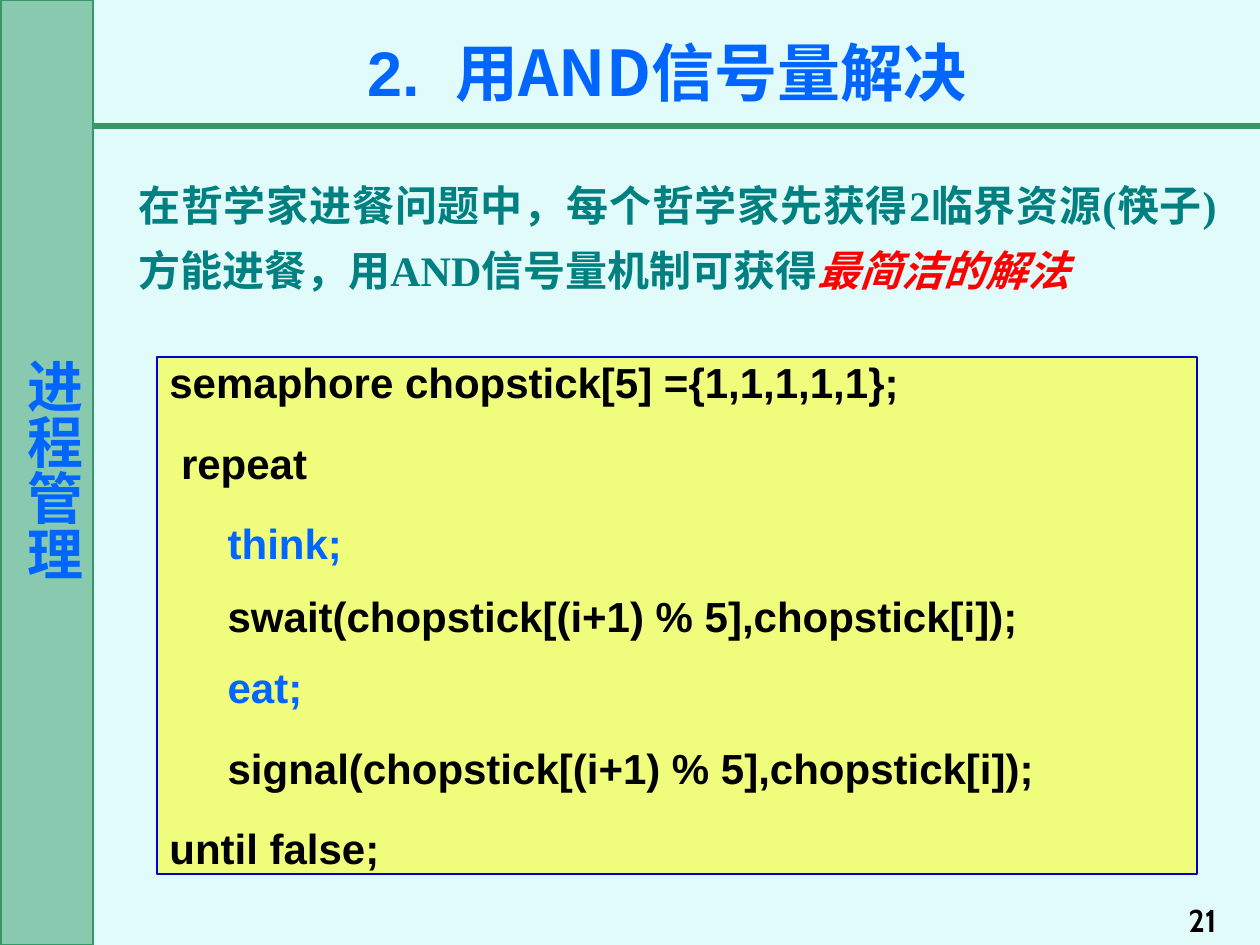
from lxml import etree
from pptx import Presentation
from pptx import util as u
from pptx.dml.color import RGBColor
from pptx.enum import shapes, text
from pptx.oxml import ns

PX = u.Inches(1) // 126
BACKGROUND = RGBColor(0xE1, 0xFA, 0xFA)
GREEN = RGBColor(0x33, 0x99, 0x66)
BLUE = RGBColor(0x00, 0x66, 0xFF)
NAVY = RGBColor(0x00, 0x00, 0xCC)
YELLOW = RGBColor(0xFF, 0xFF, 0x00)
TEAL = RGBColor(0x00, 0x80, 0x80)
RED = RGBColor(0xFF, 0x00, 0x00)
BLACK = RGBColor(0x00, 0x00, 0x00)
CJK_FONT = "Noto Sans CJK SC"


def add_run(paragraph, content, font_name, size, color):
    run = paragraph.add_run()
    run.text = content
    font = run.font
    font.name, font.size, font.bold = font_name, u.Pt(size), True
    font.color.rgb = color
    east_asian = etree.SubElement(run._r.get_or_add_rPr(), ns.qn("a:ea"))
    east_asian.set("typeface", CJK_FONT)
    return run


def add_panel(slide, left, top, width, height, fill, line, line_width):
    panel = slide.shapes.add_shape(
        shapes.MSO_SHAPE.RECTANGLE, left * PX, top * PX, width * PX, height * PX)
    panel.shadow.inherit = False
    panel.fill.solid()
    panel.fill.fore_color.rgb = fill
    color = panel._element.spPr.find(ns.qn("a:solidFill"))[0]
    etree.SubElement(color, ns.qn("a:alpha")).set("val", "50000")
    panel.line.color.rgb = line
    panel.line.width = u.Pt(line_width)
    panel.text_frame.vertical_anchor = text.MSO_ANCHOR.TOP
    return panel


presentation = Presentation()
presentation.slide_width = 1260 * PX
presentation.slide_height = 945 * PX
slide = presentation.slides.add_slide(presentation.slide_layouts[5])
slide.background.fill.solid()
slide.background.fill.fore_color.rgb = BACKGROUND

add_panel(slide, 1, 0, 92, 945, GREEN, GREEN, 0.75)

chapter = slide.shapes.add_shape(
    shapes.MSO_SHAPE.RECTANGLE, 0, 345 * PX, 93 * PX, 255 * PX)
chapter.shadow.inherit = False
chapter.fill.background()
chapter.line.fill.background()
frame = chapter.text_frame
frame.vertical_anchor = text.MSO_ANCHOR.TOP
frame.margin_left = frame.margin_right = 6 * PX
frame.margin_top = frame.margin_bottom = 13 * PX
frame._txBody.bodyPr.set("vert", "eaVert")
frame.paragraphs[0].alignment = text.PP_ALIGN.CENTER
add_run(frame.paragraphs[0], "进程管理", "Cabin", 32, BLUE)

title = slide.shapes.title
title.left, title.top, title.width, title.height = 210 * PX, 27 * PX, 914 * PX, 88 * PX
title.text_frame.vertical_anchor = text.MSO_ANCHOR.MIDDLE
paragraph = title.text_frame.paragraphs[0]
paragraph.alignment = text.PP_ALIGN.CENTER
add_run(paragraph, "2.  ", "Arial", 36, BLUE)
add_run(paragraph, "用AND信号量解决", CJK_FONT, 36, BLUE)

rule = slide.shapes.add_connector(
    shapes.MSO_CONNECTOR.STRAIGHT, 94 * PX, 126 * PX, 1260 * PX, 126 * PX)
rule.line.color.rgb = GREEN
rule.line.width = u.Pt(3)
etree.SubElement(rule._element.spPr, ns.qn("a:effectLst"))

code_box = add_panel(slide, 157, 357, 1040, 517, YELLOW, NAVY, 1.25)
frame = code_box.text_frame
frame.word_wrap = True
frame.margin_top = frame.margin_bottom = 0
code_lines = [
    ("semaphore chopstick[5] ={1,1,1,1,1};", BLACK, 0),
    (" repeat", BLACK, 17),
    ("     think;", BLUE, 17),
    ("     swait(chopstick[(i+1) % 5],chopstick[i]);", BLACK, 13),
    ("     eat;", BLUE, 12),
    ("     signal(chopstick[(i+1) % 5],chopstick[i]);", BLACK, 17),
    ("until false;", BLACK, 17),
]
for index, (code, color, space) in enumerate(code_lines):
    paragraph = frame.add_paragraph() if index else frame.paragraphs[0]
    paragraph.alignment = text.PP_ALIGN.LEFT
    paragraph.space_before = u.Pt(space)
    add_run(paragraph, code, "Arial", 24, color)

introduction = slide.shapes.add_textbox(126 * PX, 158 * PX, 1103 * PX, 144 * PX)
introduction.text_frame.word_wrap = True
paragraph = introduction.text_frame.paragraphs[0]
paragraph.alignment = text.PP_ALIGN.JUSTIFY
paragraph.line_spacing = 1.3
add_run(paragraph, "在哲学家进餐问题中，每个哲学家先获得2临界资源(筷子)方能进餐，用AND信号量机制可获得",
        "Times New Roman", 24, TEAL)
emphasis = add_run(paragraph, "最简洁的解法", "Times New Roman", 24, RED)
emphasis.font.italic = True

page_number = slide.shapes.add_textbox(1103 * PX, 882 * PX, 126 * PX, 63 * PX)
page_number.text_frame.word_wrap = True
page_number.text_frame.vertical_anchor = text.MSO_ANCHOR.BOTTOM
paragraph = page_number.text_frame.paragraphs[0]
paragraph.alignment = text.PP_ALIGN.RIGHT
add_run(paragraph, "21", "Cabin", 18, BLACK)

presentation.save("out.pptx")
